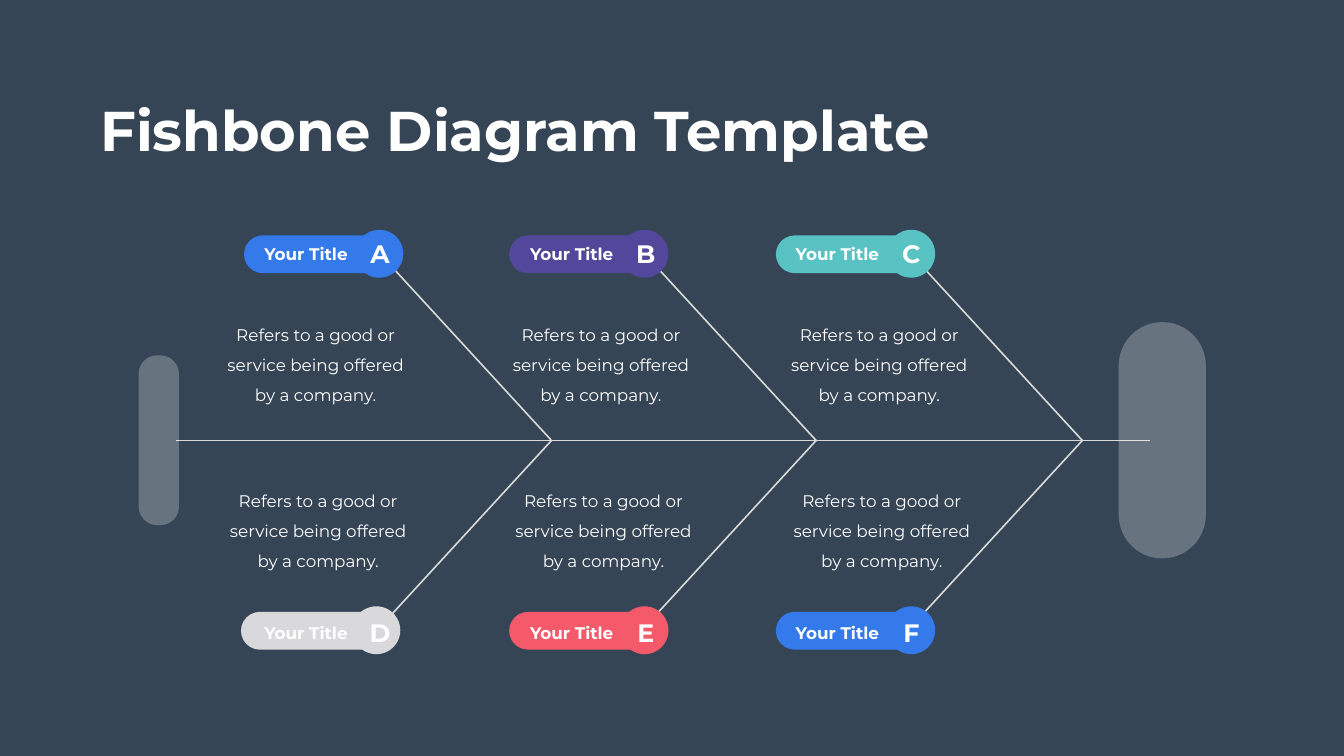
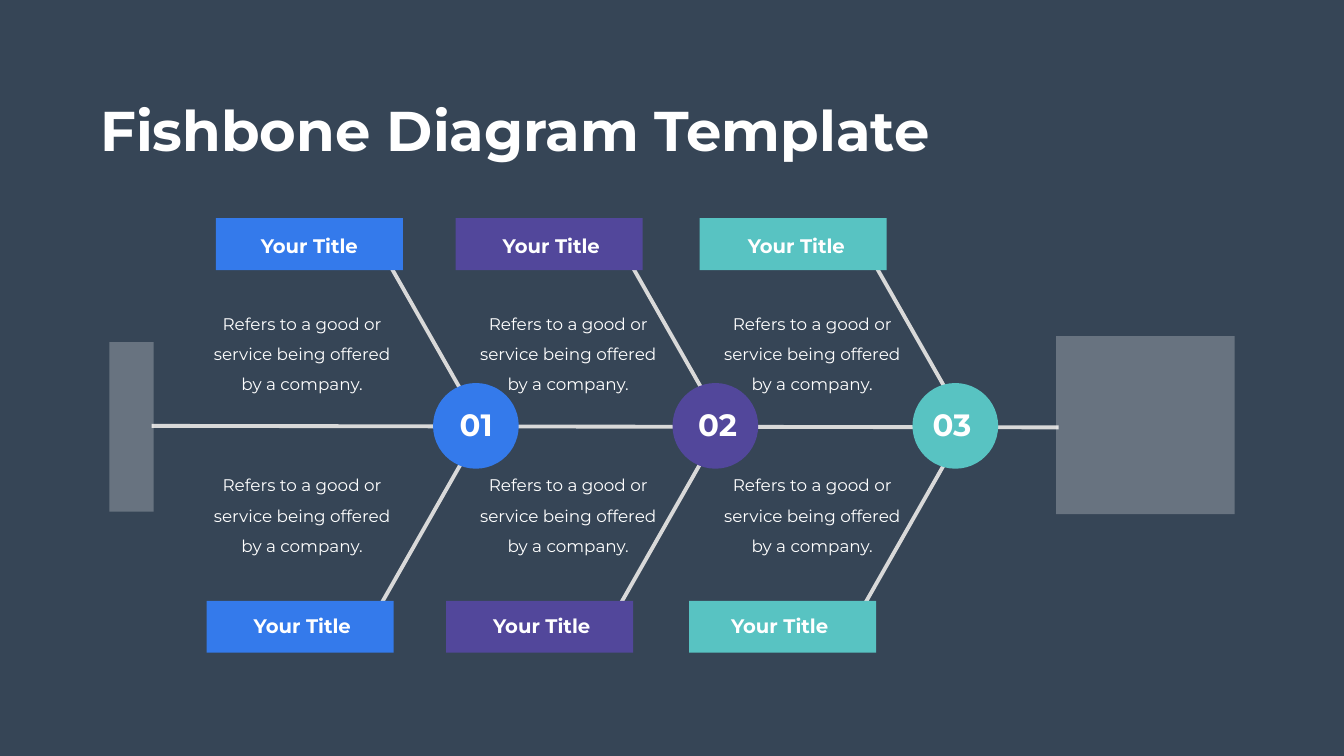
import dataclasses
import pptx
import pptx.util
import pptx.dml.color
import pptx.enum.shapes
import pptx.enum.text
import pptx.oxml
import pptx.oxml.ns
import lxml.etree

Inches = pptx.util.Inches
Pt = pptx.util.Pt
SHAPE = pptx.enum.shapes.MSO_SHAPE
ALIGN = pptx.enum.text.PP_ALIGN
AUTO = pptx.enum.text.MSO_AUTO_SIZE


@dataclasses.dataclass(frozen=True)
class Theme:
    """Colours, font, type sizes and line widths of the deck."""
    font: str = "Montserrat"
    back: str = "364556"
    white: str = "FFFFFF"
    line: str = "D9D9D9"
    blue: str = "347AEB"
    purple: str = "52479B"
    teal: str = "58C3C2"
    grey: str = "D9D8DA"
    red: str = "F45A69"
    title: int = 80
    number: int = 44
    letter: int = 36
    block: int = 28
    body: int = 24
    body_leading: int = 43
    thin: float = 2.3
    thick: float = 5.5


T = Theme()
TITLE = "Fishbone Diagram Template"
LABEL = "Your Title"
BODY = "Refers to a good or service being offered by a company."


def rgb(code):
    """Turn a hex code into a colour."""
    return pptx.dml.color.RGBColor.from_string(code)


def inches(*values):
    """Convert several lengths given in inches."""
    return [Inches(round(v, 2)) for v in values]


def apply(obj, formats):
    """Set each attribute of a dict of format values."""
    for name, value in formats.items():
        setattr(obj, name, value)


def add_text(s, box, text, size, bold=True, wrap=True, align=ALIGN.CENTER,
             margins=(0.1, 0.05), leading=None):
    """Add one paragraph of white text in a box."""
    tf = s.shapes.add_textbox(*inches(*box)).text_frame
    side, end = inches(*margins)
    apply(tf, {"word_wrap": wrap, "auto_size": AUTO.SHAPE_TO_FIT_TEXT,
               "margin_left": side, "margin_right": side,
               "margin_top": end, "margin_bottom": end})
    p = tf.paragraphs[0]
    apply(p, {"alignment": align, "line_spacing": leading})
    r = p.add_run()
    r.text = text
    apply(r.font, {"name": T.font, "size": Pt(size), "bold": bold})
    r.font.color.rgb = rgb(T.white)


def add_body(s, x, y):
    """Add a description whose top left corner is given."""
    add_text(s, (x, y, 4.14, 1.98), BODY, T.body, bold=False,
             margins=(0.24, 0.12), leading=Pt(T.body_leading))


def add_filled(s, kind, box, color, round_by=None, alpha=None):
    """Add a plain filled shape, rounded or translucent on request."""
    sp = s.shapes.add_shape(kind, *inches(*box))
    sp.shadow.inherit = False
    sp.fill.solid()
    sp.fill.fore_color.rgb = rgb(color)
    sp.line.fill.background()
    if round_by is not None:
        sp.adjustments[0] = round_by
    if alpha is not None:
        clr = sp.fill._xPr.find(".//" + pptx.oxml.ns.qn("a:srgbClr"))
        node = lxml.etree.SubElement(clr, pptx.oxml.ns.qn("a:alpha"))
        node.set("val", str(alpha * 1000))
    return sp


def style_line(sp, width):
    """Give a line the bone colour and a width."""
    sp.line.color.rgb = rgb(T.line)
    sp.line.width = Pt(width)


def add_spine(s, start, end, width):
    """Add the straight backbone from head to tail."""
    cn = s.shapes.add_connector(pptx.enum.shapes.MSO_CONNECTOR.STRAIGHT,
                                *inches(*start, *end))
    style_line(cn, width)
    lxml.etree.SubElement(cn._element.spPr, pptx.oxml.ns.qn("a:effectLst"))


def add_bone(s, box, width):
    """Add a pair of ribs meeting halfway down the right side of a box."""
    x, y, w, h = box
    fb = s.shapes.build_freeform(*inches(x, y), scale=1.0)
    fb.add_line_segments([inches(x + w, y + h / 2), inches(x, y + h)], close=False)
    sp = fb.convert_to_shape()
    sp.shadow.inherit = False
    sp.fill.background()
    style_line(sp, width)


def add_tag(s, box, color, letter, text_x, text_y):
    """Add a pill with a lettered disc at the right end of a box."""
    x, y, w, h = box
    disc_x = x + w - h
    add_filled(s, SHAPE.ROUNDED_RECTANGLE, (x, y + 0.11, 2.82, 0.75), color, round_by=0.5)
    add_filled(s, SHAPE.OVAL, (disc_x, y, h, h), color)
    add_text(s, (text_x, text_y, 2.22, 0.5), LABEL, T.body)
    add_text(s, (text_x + 2.09, text_y - 0.11, 0.98, 0.71), letter, T.letter)


def add_block(s, box, color, text_x, text_y):
    """Add a coloured block with its heading."""
    add_filled(s, SHAPE.RECTANGLE, box, color)
    add_text(s, (text_x, text_y, 3.01, 0.57), LABEL, T.block)


def add_joint(s, box, color, number, text_x):
    """Add a numbered disc on the backbone."""
    add_filled(s, SHAPE.OVAL, box, color)
    add_text(s, (text_x, box[1] + 0.4, 1.59, 0.84), number, T.number)


def new_slide(prs):
    """Add a slide with the shared background and title."""
    s = prs.slides.add_slide(prs.slide_layouts[6])
    s.background.fill.solid()
    s.background.fill.fore_color.rgb = rgb(T.back)
    add_text(s, (1.89, 1.85, 16.71, 1.45), TITLE, T.title, wrap=False, align=ALIGN.LEFT)
    return s


def lettered_slide(prs):
    """Build the fishbone with lettered pills."""
    s = new_slide(prs)
    add_spine(s, (22.81, 8.74), (3.49, 8.74), T.thin)
    for x in (7.54, 12.79, 18.07):
        add_bone(s, (x, 5.04, 3.4, 7.4), T.thin)
    for box, round_by in (((2.75, 7.05, 0.8, 3.37), 0.46), ((22.19, 6.39, 1.73, 4.69), 0.5)):
        add_filled(s, SHAPE.ROUNDED_RECTANGLE, box, T.white, round_by, alpha=25)
    rows = (
        (4.56, 4.78, 6.12, 0, (4.84, 10.1, 15.39), "ABC", (T.blue, T.purple, T.teal)),
        (12.03, 12.3, 9.42, 0.05, (4.78, 10.1, 15.39), "DEF", (T.grey, T.red, T.blue)),
    )
    for tag_y, text_y, body_y, shift, tag_xs, letters, colors in rows:
        for i, body_x in enumerate((4.19, 9.85, 15.37)):
            add_body(s, body_x + shift, body_y)
            add_tag(s, (tag_xs[i], tag_y, 3.16, 0.95), colors[i], letters[i],
                    4.96 + 5.27 * i, text_y)


def numbered_slide(prs):
    """Build the fishbone with numbered joints."""
    s = new_slide(prs)
    colors = (T.blue, T.purple, T.teal)
    add_spine(s, (21, 8.48), (3.01, 8.45), T.thick)
    for x, y in ((7.46, 4.78), (12.23, 4.74), (17.07, 4.75)):
        add_bone(s, (x, y, 2.1, 7.38), T.thick)
    for i, text_x in enumerate((8.65, 13.44, 18.09)):
        add_joint(s, (8.59 + 4.755 * i, 7.6, 1.7, 1.7), colors[i], f"0{i + 1}", text_x)
    for box in ((20.95, 6.67, 3.54, 3.53), (2.17, 6.79, 0.88, 3.36)):
        add_filled(s, SHAPE.RECTANGLE, box, T.white, alpha=25)
    rows = (
        (4.33, 4.59, 5.91, (4.28, 9.04, 13.88), (4.63, 9.43, 14.29)),
        (11.92, 12.13, 9.11, (4.1, 8.85, 13.67), (4.49, 9.24, 13.96)),
    )
    for block_y, text_y, body_y, block_xs, text_xs in rows:
        for i, body_x in enumerate((3.92, 9.2, 14.04)):
            add_body(s, body_x, body_y)
            add_block(s, (block_xs[i], block_y, 3.71, 1.03), colors[i], text_xs[i], text_y)


def main():
    """Build both slides and save them."""
    prs = pptx.Presentation()
    apply(prs, {"slide_width": Inches(26.66), "slide_height": Inches(15)})
    lettered_slide(prs)
    numbered_slide(prs)
    prs.save("out.pptx")


if __name__ == "__main__":
    main()
